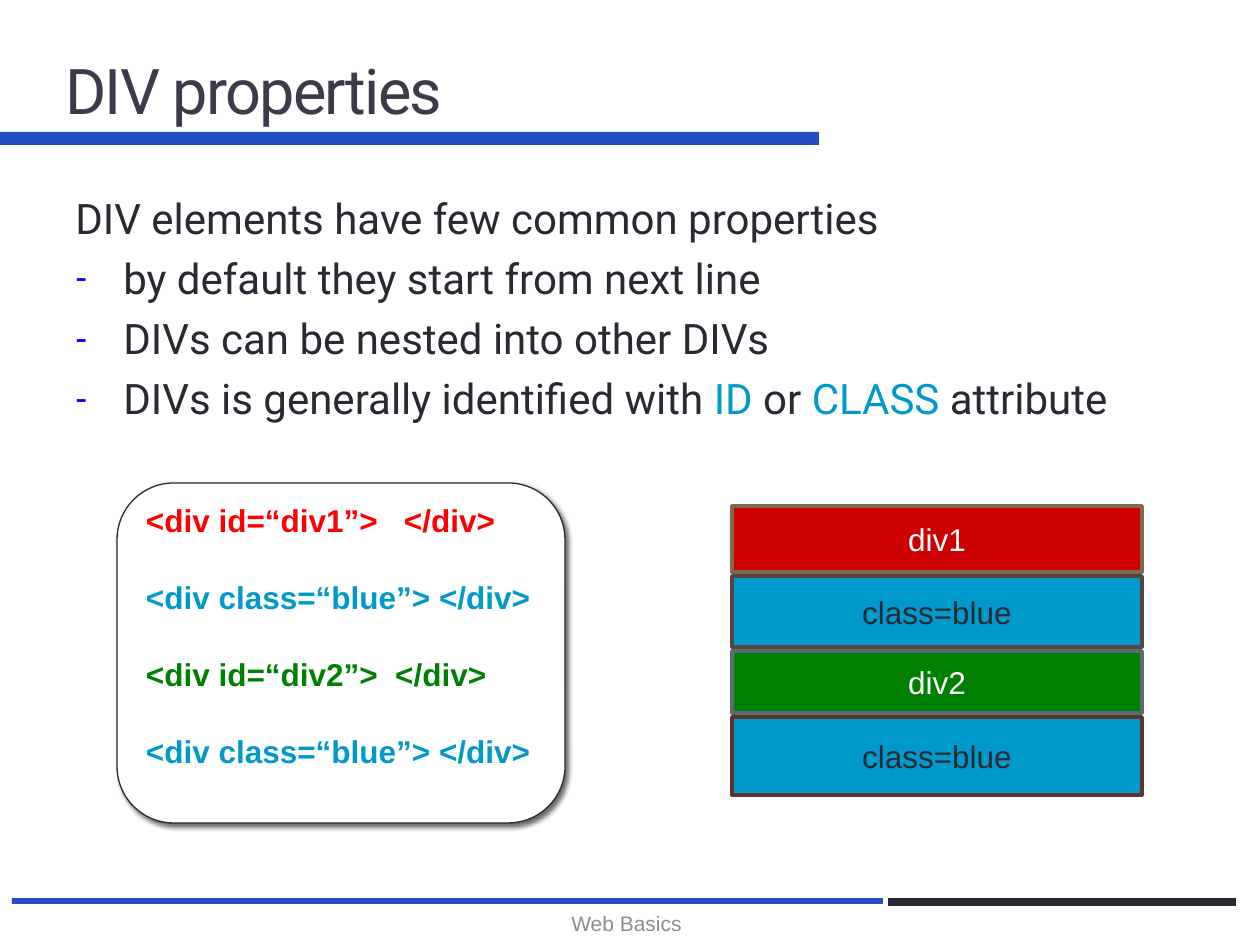
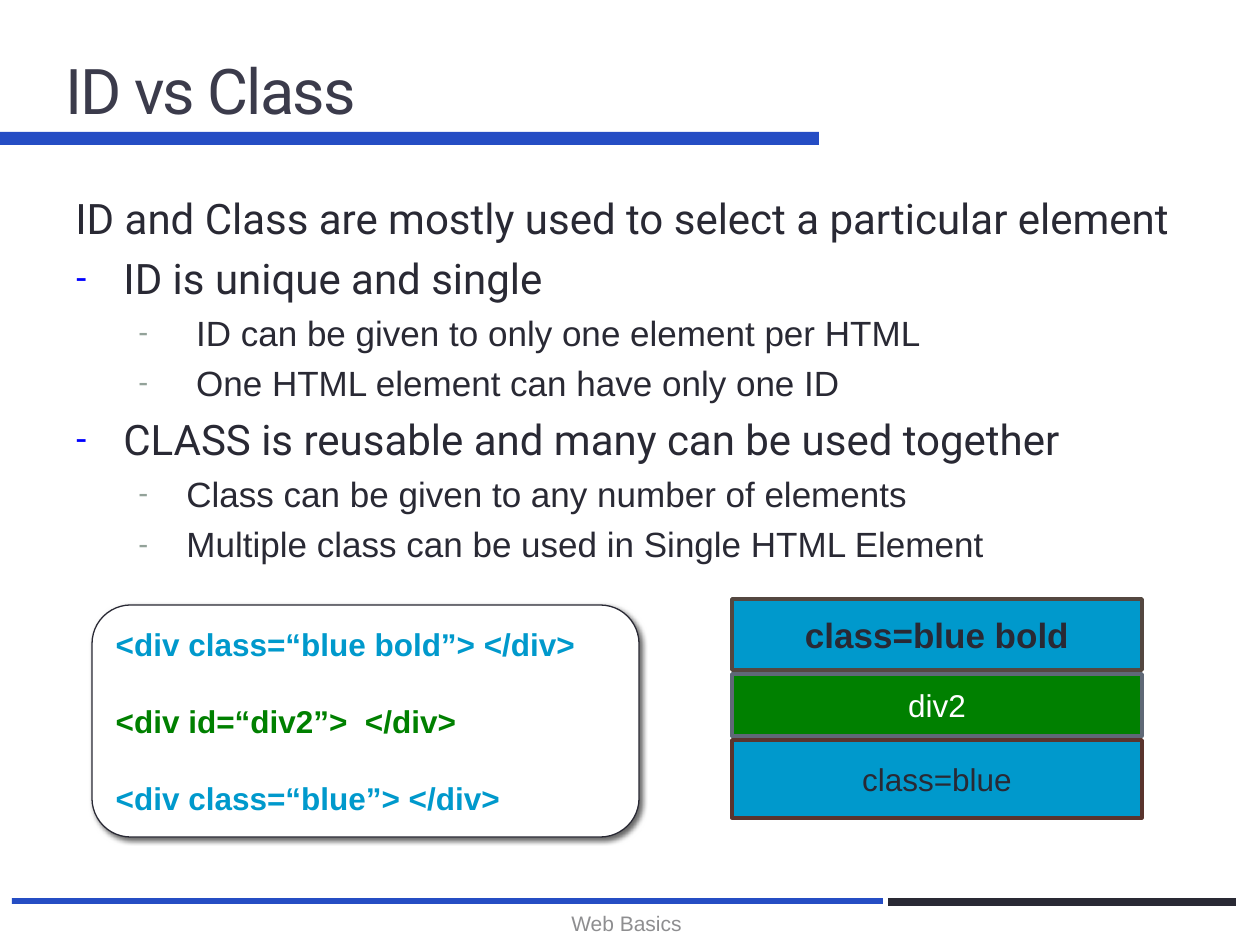
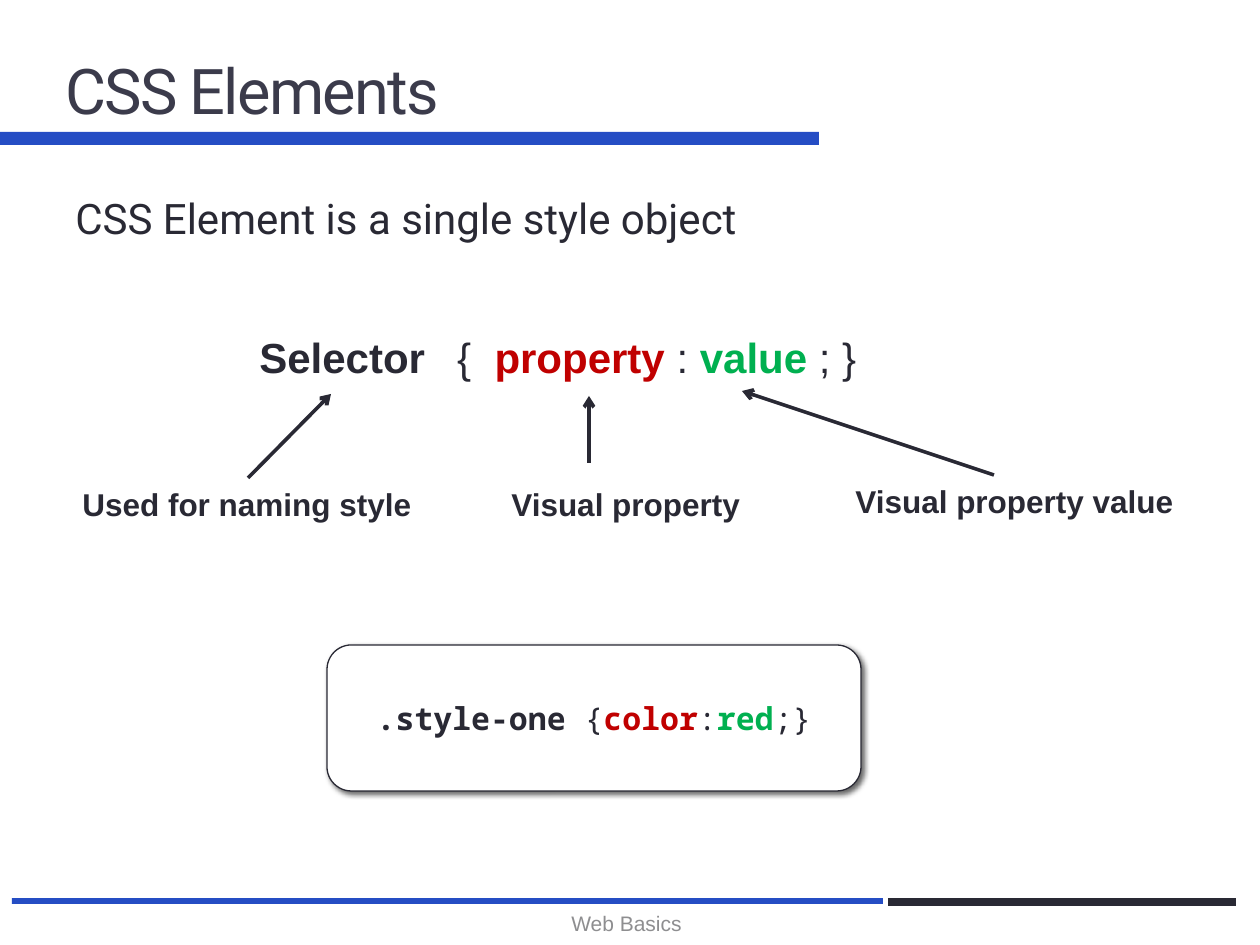
"""Builds three slides on DIV properties, ID against class, and CSS elements."""
from dataclasses import dataclass

from lxml import etree
from pptx import Presentation
from pptx.dml.color import RGBColor
from pptx.enum.shapes import MSO_CONNECTOR, MSO_SHAPE
from pptx.enum.text import MSO_ANCHOR, PP_ALIGN
from pptx.oxml.ns import qn
from pptx.util import Emu, Pt

RECT, ROUNDED = MSO_SHAPE.RECTANGLE, MSO_SHAPE.ROUNDED_RECTANGLE
STRAIGHT = MSO_CONNECTOR.STRAIGHT
TOP, MIDDLE = MSO_ANCHOR.TOP, MSO_ANCHOR.MIDDLE
LEFT, CENTER = PP_ALIGN.LEFT, PP_ALIGN.CENTER

WHITE = RGBColor(0xFF, 0xFF, 0xFF)
INK = RGBColor(0x29, 0x29, 0x34)
TITLE_INK = RGBColor(0x3B, 0x3B, 0x4B)
BAND_BLUE = RGBColor(0x25, 0x4D, 0xC4)
FOOTER_GREY = RGBColor(0x8E, 0x8E, 0x90)
SKY = RGBColor(0x00, 0x99, 0xCC)
RED = RGBColor(0xFF, 0x00, 0x00)
BOX_RED = RGBColor(0xCC, 0x00, 0x00)
GREEN = RGBColor(0x00, 0x80, 0x00)
PROPERTY_RED = RGBColor(0xC0, 0x00, 0x00)
VALUE_GREEN = RGBColor(0x00, 0xB0, 0x50)
BROWN_EDGE = RGBColor(0x80, 0x6A, 0x4C)
DARK_EDGE = RGBColor(0x54, 0x47, 0x40)
SLATE_EDGE = RGBColor(0x5F, 0x68, 0x76)
RUST_EDGE = RGBColor(0x5A, 0x34, 0x2D)
BULLET_BLUE = RGBColor(0x00, 0x00, 0xFF)
BULLET_GREY = RGBColor(0x93, 0xA2, 0x99)

HEAD_FONT, TEXT_FONT, CODE_FONT = "Roboto", "Arial", "Noto Sans Mono"
PIXEL = 914400 / 126
EDGE = Pt(2.08)
BOX_LEFT, BOX_WIDTH, BOX_GAP = 732, 410, 4
INDENT = 48
LEVELS = {
    0: (24, HEAD_FONT, 5.6, BULLET_BLUE, 48),
    1: (20, TEXT_FONT, 4.8, BULLET_GREY, 111),
}


@dataclass
class Run:
    """A stretch of text in one look."""
    text: str
    color: RGBColor = INK
    bold: bool = False
    size: int = 0


@dataclass
class DivBox:
    """A rendered DIV in the stack."""
    label: Run
    height: int
    fill: RGBColor
    edge: RGBColor


FIRST_DIV = DivBox(Run("div1", WHITE), 66, BOX_RED, BROWN_EDGE)
BLUE_DIV = DivBox(Run("class=blue"), 71, SKY, DARK_EDGE)
BOLD_DIV = DivBox(Run("class=blue bold", INK, True, 20), 71, SKY, DARK_EDGE)
SECOND_DIV = DivBox(Run("div2", WHITE), 62, GREEN, SLATE_EDGE)
LAST_DIV = DivBox(Run("class=blue"), 78, SKY, RUST_EDGE)

BLUE_CODE = Run("<div class=“blue”> </div>", SKY, True)
GREEN_CODE = Run("<div id=“div2”>  </div>", GREEN, True)


def px(*lengths):
    """Turn picture pixels into EMU."""
    return [Emu(round(length * PIXEL)) for length in lengths]


def add_runs(paragraph, runs, size, font):
    """Add runs to a paragraph."""
    for run in runs:
        piece = paragraph.add_run()
        piece.text = run.text
        piece.font.name = font
        piece.font.size = Pt(run.size or size)
        piece.font.bold = run.bold
        piece.font.color.rgb = run.color


def add_text(slide, area, runs, size, font=TEXT_FONT, align=LEFT, anchor=TOP):
    """Add a one-paragraph text box and return its paragraph."""
    frame = slide.shapes.add_textbox(*px(*area)).text_frame
    frame.word_wrap = True
    frame.vertical_anchor = anchor
    paragraph = frame.paragraphs[0]
    paragraph.alignment = align
    add_runs(paragraph, runs, size, font)
    return paragraph


def add_block(slide, kind, area, fill, edge=None, width=EDGE):
    """Add a filled shape, outlined if an edge colour is given."""
    block = slide.shapes.add_shape(kind, *px(*area))
    block.shadow.inherit = False
    block.fill.solid()
    block.fill.fore_color.rgb = fill
    if edge is None:
        block.line.fill.background()
    else:
        block.line.color.rgb = edge
        block.line.width = width
    block.text_frame.word_wrap = True
    block.text_frame.vertical_anchor = MIDDLE
    return block


def add_code_card(slide, area, lines, font=TEXT_FONT, align=LEFT, lift=0):
    """Add a rounded card with a soft shadow and spaced lines of code."""
    card = add_block(slide, ROUNDED, area, WHITE, INK, Pt(0.75))
    effects = card._element.spPr.find(qn("a:effectLst"))
    shadow = etree.SubElement(effects, qn("a:outerShdw"), blurRad=str(Pt(3)),
                              dist=str(Pt(2)), dir="2700000", algn="tl", rotWithShape="0")
    color = etree.SubElement(shadow, qn("a:srgbClr"), val="000000")
    etree.SubElement(color, qn("a:alpha"), val="60000")
    frame = card.text_frame
    frame.margin_bottom = px(6 + 2 * lift)[0]
    for index, runs in enumerate(lines):
        paragraph = frame.add_paragraph() if index else frame.paragraphs[0]
        paragraph.alignment = align
        if index:
            paragraph.space_before = Pt(22.4)
        add_runs(paragraph, runs, 18, font)


def add_div_stack(slide, top, boxes):
    """Stack rendered DIVs from the top down."""
    for box in boxes:
        area = (BOX_LEFT, top, BOX_WIDTH, box.height)
        block = add_block(slide, RECT, area, box.fill, box.edge)
        paragraph = block.text_frame.paragraphs[0]
        paragraph.alignment = CENTER
        add_runs(paragraph, [box.label], 18, TEXT_FONT)
        top += box.height + BOX_GAP


def set_dash(paragraph, color, margin):
    """Give a paragraph a coloured dash with a hanging indent."""
    properties = paragraph._p.get_or_add_pPr()
    properties.set("marL", str(px(margin)[0]))
    properties.set("indent", str(px(-INDENT)[0]))
    bullet_color = etree.SubElement(properties, qn("a:buClr"))
    etree.SubElement(bullet_color, qn("a:srgbClr"), val=str(color))
    etree.SubElement(properties, qn("a:buSzPct"), val="85000")
    etree.SubElement(properties, qn("a:buFont"), typeface=TEXT_FONT)
    etree.SubElement(properties, qn("a:buChar"), char="-")


def add_body(slide, lead, points=(), height=672):
    """Add a lead sentence and dashed points given as (level, runs)."""
    frame = slide.shapes.add_textbox(*px(63, 186, 1134, height)).text_frame
    frame.word_wrap = True
    for index, (level, runs) in enumerate([(0, [Run(lead)]), *points]):
        paragraph = frame.add_paragraph() if index else frame.paragraphs[0]
        size, font, space, color, margin = LEVELS[level]
        paragraph.level = level
        paragraph.space_before = Pt(space)
        if index:
            set_dash(paragraph, color, margin)
        add_runs(paragraph, runs, size, font)


def add_arrow(slide, start, end):
    """Add an open-headed arrow from start to end."""
    arrow = slide.shapes.add_connector(STRAIGHT, *px(*start, *end))
    arrow.line.color.rgb = INK
    arrow.line.width = EDGE
    etree.SubElement(arrow.line._get_or_add_ln(), qn("a:tailEnd"), type="arrow")
    etree.SubElement(arrow._element.spPr, qn("a:effectLst"))


def new_slide(deck, title):
    """Add a blank slide with bands, title and footer."""
    slide = deck.slides.add_slide(deck.slide_layouts[6])
    add_block(slide, RECT, (0, 132, 819, 13), BAND_BLUE)
    add_block(slide, RECT, (12, 898, 871, 6), BAND_BLUE)
    add_block(slide, RECT, (888, 898, 348, 8), INK)
    heading = add_text(slide, (53, 21, 1134, 136), [Run(title, TITLE_INK)], 36,
                       HEAD_FONT, anchor=MIDDLE)
    heading.runs[0].font._element.set("spc", "-100")
    add_text(slide, (427, 898, 399, 50), [Run("Web Basics", FOOTER_GREY)], 12,
             align=CENTER, anchor=MIDDLE)
    return slide


def build_div_properties(deck):
    """Build the slide on DIV properties."""
    slide = new_slide(deck, "DIV properties")
    add_body(slide, "DIV elements have few common properties", [
        (0, [Run("by default they start from next line")]),
        (0, [Run("DIVs can be nested into other DIVs")]),
        (0, [Run("DIVs is generally identified with "), Run("ID ", SKY), Run("or "),
             Run("CLASS", SKY), Run(" attribute")]),
    ])
    red_code = Run("<div id=“div1”>   </div>", RED, True)
    add_code_card(slide, (117, 483, 448, 340),
                  [[red_code], [BLUE_CODE], [GREEN_CODE], [BLUE_CODE]], lift=18)
    add_div_stack(slide, 506, [FIRST_DIV, BLUE_DIV, SECOND_DIV, LAST_DIV])


def build_id_vs_class(deck):
    """Build the slide that sets ID against class."""
    slide = new_slide(deck, "ID vs Class")
    add_body(slide, "ID and Class are mostly used to select a particular element", [
        (0, [Run("ID is unique and single")]),
        (1, [Run(" ID can be given to only one element per HTML")]),
        (1, [Run(" One HTML element can have only one ID")]),
        (0, [Run("CLASS is reusable and many can be used together")]),
        (1, [Run("Class can be given to any number of elements")]),
        (1, [Run("Multiple class can be used in Single HTML Element")]),
    ])
    bold_code = Run("<div class=“blue bold”> </div>", SKY, True)
    add_code_card(slide, (92, 605, 547, 232), [[bold_code], [GREEN_CODE], [BLUE_CODE]])
    add_div_stack(slide, 599, [BOLD_DIV, SECOND_DIV, LAST_DIV])


def build_css_elements(deck):
    """Build the slide on the parts of a CSS element."""
    slide = new_slide(deck, "CSS Elements")
    add_body(slide, "CSS Element is a single style object", height=81)
    add_text(slide, (247, 325, 692, 63), [
        Run("Selector  ", bold=True), Run(" ", size=18), Run("{  "),
        Run("property", PROPERTY_RED, True), Run(" : "),
        Run("value", VALUE_GREEN, True), Run(" ; }"),
    ], 24)
    callouts = [
        ("Used for naming style", (70, 479, 367, 50), (248, 478), (331, 394)),
        ("Visual property", (499, 479, 305, 50), (589, 463), (589, 396)),
        ("Visual property value", (843, 476, 365, 50), (994, 475), (742, 391)),
    ]
    for label, area, start, end in callouts:
        add_text(slide, area, [Run(label, bold=True)], 18)
        add_arrow(slide, start, end)
    add_code_card(slide, (327, 645, 534, 146), [[
        Run(".style-one ", bold=True), Run("{"), Run("color", PROPERTY_RED, True),
        Run(":"), Run("red", VALUE_GREEN, True), Run(";}"),
    ]], CODE_FONT, CENTER)


def main():
    """Build and save the deck."""
    deck = Presentation()
    deck.slide_width, deck.slide_height = px(1260, 945)
    build_div_properties(deck)
    build_id_vs_class(deck)
    build_css_elements(deck)
    deck.save("out.pptx")


main()
